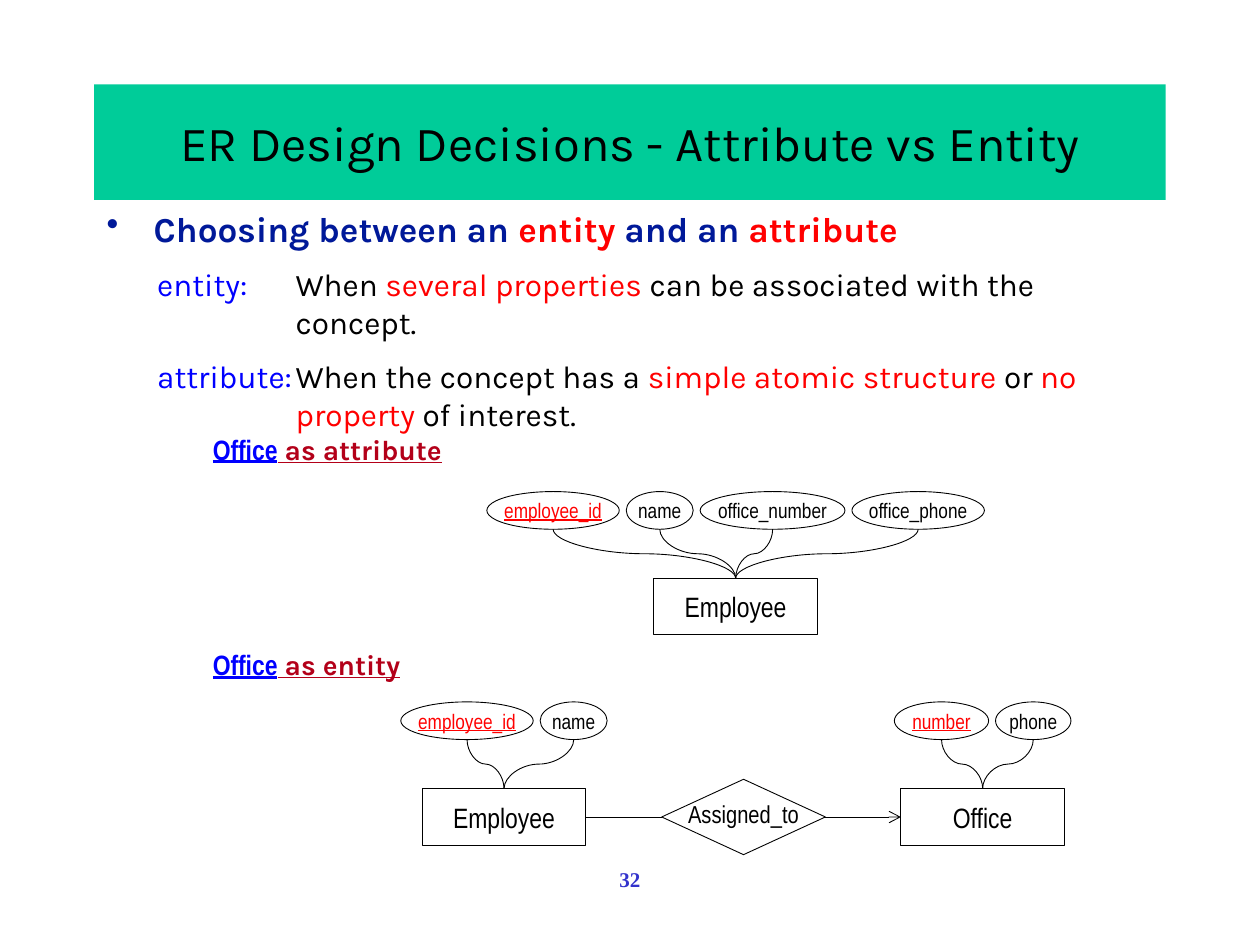
from pptx import Presentation
from pptx.dml.color import RGBColor
from pptx.enum.shapes import MSO_CONNECTOR, MSO_SHAPE
from pptx.enum.text import MSO_ANCHOR, PP_ALIGN
from pptx.oxml.ns import qn
from pptx.util import Cm, Pt
from lxml.etree import SubElement

BLACK = RGBColor(0, 0, 0)
RED = RGBColor(255, 0, 0)
BLUE = RGBColor(0, 0, 255)
NAVY = RGBColor(0x00, 0x19, 0x99)
CRIMSON = RGBColor(0xB3, 0x00, 0x19)
GREEN = RGBColor(0x00, 0xCC, 0x99)
VIOLET = RGBColor(0x33, 0x33, 0xCC)
KARLA, NARROW, TIMES = "Karla", "Arial Narrow", "Times New Roman"

ENTITY_W, ENTITY_H = 3.3, 1.14
OVAL_H, OVAL_GAP, OVAL_RISE = 0.76, 0.14, 1.75


class Diagram:
    """Draws slide text and ER diagram parts in one style."""

    def __init__(self, slide):
        """Keep the slide to draw on."""
        self.slide = slide

    def run(self, p, text, size, color=BLACK, font=KARLA, bold=False, underline=False):
        """Add one formatted run to a paragraph."""
        r = p.add_run()
        r.text = text
        r.font.size = Pt(size)
        r.font.name = font
        r.font.bold = bold
        r.font.underline = underline
        r.font.color.rgb = color

    def textbox(self, x, y, w, h, wrap=True):
        """Add an empty text box and return its text frame."""
        tf = self.slide.shapes.add_textbox(Cm(x), Cm(y), Cm(w), Cm(h)).text_frame
        tf.word_wrap = wrap
        return tf

    def shape(self, kind, x, y, w, h, text, size, fill=None, wrap=False, **style):
        """Add a shape with centred text, outlined unless it is filled."""
        sp = self.slide.shapes.add_shape(kind, Cm(x), Cm(y), Cm(w), Cm(h))
        sp.shadow.inherit = False
        if fill is None:
            sp.fill.background()
            sp.line.color.rgb = BLACK
            sp.line.width = Pt(0.5)
        else:
            sp.fill.solid()
            sp.fill.fore_color.rgb = fill
            sp.line.fill.background()
        tf = sp.text_frame
        tf.word_wrap = wrap
        tf.vertical_anchor = MSO_ANCHOR.MIDDLE
        p = tf.paragraphs[0]
        p.alignment = PP_ALIGN.CENTER
        self.run(p, text, size, **style)
        return sp

    def connector(self, kind, x1, y1, x2, y2, arrow=False):
        """Add a thin black connector."""
        c = self.slide.shapes.add_connector(kind, Cm(x1), Cm(y1), Cm(x2), Cm(y2))
        c.line.color.rgb = BLACK
        c.line.width = Pt(0.5)
        if arrow:
            SubElement(c.line._get_or_add_ln(), qn("a:tailEnd"), type="arrow")
        SubElement(c._element.spPr, qn("a:effectLst"))
        return c

    def curve_up(self, x, y, oval_x, oval_y):
        """Curve vertically from an entity up to an attribute."""
        mid_x, mid_y = (x + oval_x) / 2, (y + oval_y) / 2
        half_w, half_h = (y - oval_y) / 2, abs(x - oval_x) / 2
        side = 1 if oval_x > x else -1
        c = self.connector(MSO_CONNECTOR.CURVE, mid_x + side * half_w, mid_y + half_h,
                           mid_x - side * half_w, mid_y - half_h)
        angle = 90 if side > 0 else 270
        c._element.spPr.find(qn("a:xfrm")).set("rot", str(angle * 60000))

    def entity(self, name, center, top, attributes):
        """Add an entity with a centred row of attributes; the first is the key."""
        total = sum(w for _, w in attributes) + OVAL_GAP * (len(attributes) - 1)
        x, y = center - total / 2, top - OVAL_RISE
        for i, (text, w) in enumerate(attributes):
            self.curve_up(center, top, x + w / 2, y + OVAL_H)
            self.shape(MSO_SHAPE.OVAL, x, y, w, OVAL_H, text, 12, font=NARROW,
                       color=BLACK if i else RED, underline=i == 0)
            x += w + OVAL_GAP
        self.shape(MSO_SHAPE.RECTANGLE, center - ENTITY_W / 2, top, ENTITY_W, ENTITY_H,
                   name, 16, font=NARROW)

    def heading(self, y, w, ending):
        """Add an underlined heading for one design option."""
        p = self.textbox(4.04, y, w, 0.94, wrap=False).paragraphs[0]
        self.run(p, "Office", 16, BLUE, NARROW, True, True)
        self.run(p, ending, 16, CRIMSON, KARLA, True, True)

    def paragraph(self, p, parts, size, left, hanging, before=0, bullet=None, bold=False):
        """Fill a paragraph with coloured runs and a hanging indent."""
        p.space_before = Pt(before)
        pPr = p._p.get_or_add_pPr()
        pPr.set("marL", str(Cm(left)))
        pPr.set("indent", str(-Cm(hanging)))
        if bullet:
            SubElement(pPr, qn("a:buChar"), char=bullet)
        for text, color in parts:
            self.run(p, text, size, color, bold=bold)


prs = Presentation()
prs.slide_width, prs.slide_height = Cm(25.4), Cm(19.05)
d = Diagram(prs.slides.add_slide(prs.slide_layouts[6]))

d.shape(MSO_SHAPE.RECTANGLE, 1.9, 1.7, 21.6, 2.33,
        "ER Design Decisions - Attribute vs Entity", 28, fill=GREEN, wrap=True)

tf = d.textbox(1.9, 4.06, 21.6, 3.99)
d.paragraph(tf.paragraphs[0], [
    ("Choosing between an ", NAVY), ("entity ", RED), ("and an ", NAVY), ("attribute", RED),
], 20, 0.95, 0.95, bullet="•", bold=True)
definitions = [
    [("entity:", BLUE), ("\tWhen ", BLACK), ("several properties", RED),
     (" can be associated with the concept.", BLACK)],
    [("attribute:", BLUE), ("\tWhen the concept has a ", BLACK),
     ("simple atomic structure", RED), (" or ", BLACK), ("no property", RED),
     (" of interest.", BLACK)],
]
for parts in definitions:
    d.paragraph(tf.add_paragraph(), parts, 18, 3.81, 2.79, before=9)

d.heading(8.59, 5.36, " as attribute")
d.entity("Employee", 14.83, 11.66, [("employee_id", 2.67), ("name", 1.35),
                                    ("office_number", 2.92), ("office_phone", 2.67)])

d.heading(12.93, 4.5, " as entity")
employee_x, relation_x, office_x, top = 10.16, 14.99, 19.81, 15.9
d.entity("Employee", employee_x, top, [("employee_id", 2.67), ("name", 1.35)])
d.entity("Office", office_x, top, [("number", 1.9), ("phone", 1.52)])

axis, half, relation_h = top + ENTITY_H / 2, ENTITY_W / 2, 1.52
relation = d.shape(MSO_SHAPE.DIAMOND, relation_x - half, axis - relation_h / 2,
                   ENTITY_W, relation_h, "Assigned_to", 14, font=NARROW)
relation.text_frame.margin_bottom = Cm(0.25)
for start, end, arrow in [(employee_x, relation_x, False), (relation_x, office_x, True)]:
    d.connector(MSO_CONNECTOR.STRAIGHT, start + half, axis, end - half, axis, arrow)

p = d.textbox(1.27, 17.35, 22.86, 1.27).paragraphs[0]
p.alignment = PP_ALIGN.CENTER
d.run(p, "32", 12, VIOLET, TIMES, bold=True)

prs.save("out.pptx")
